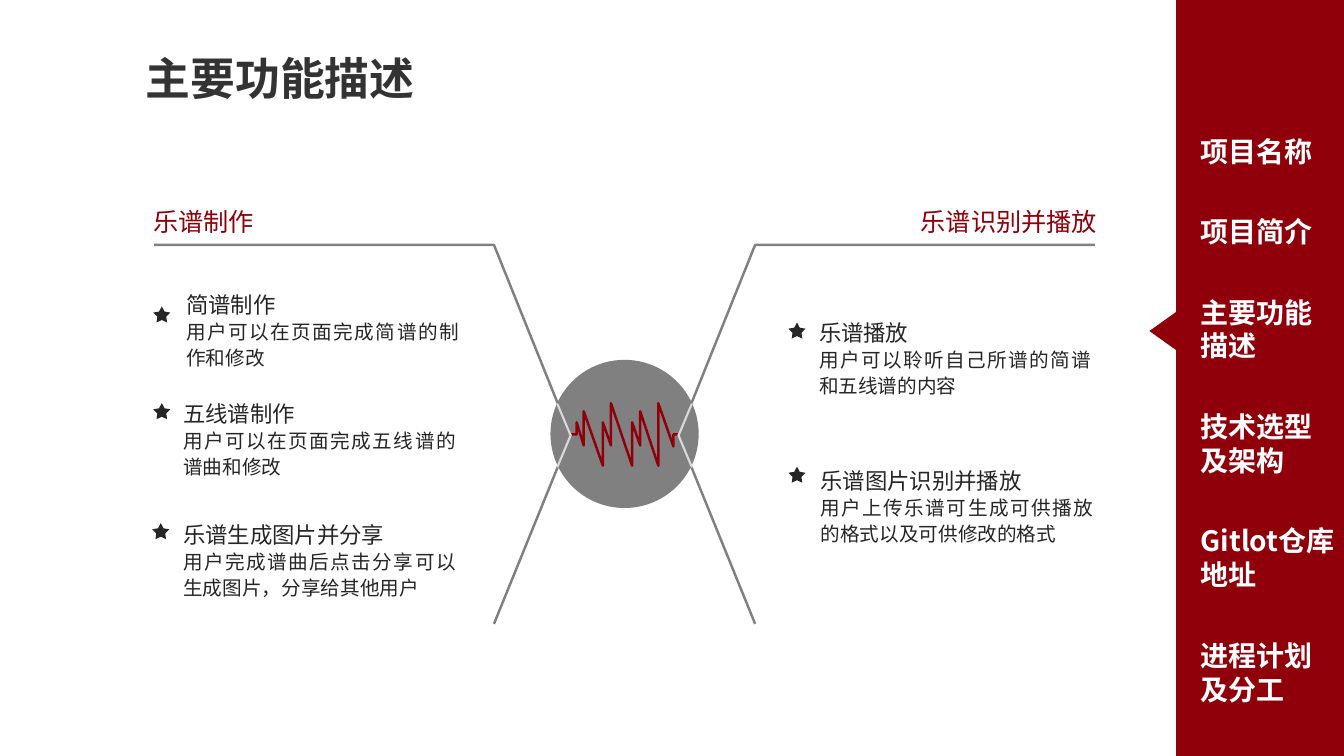
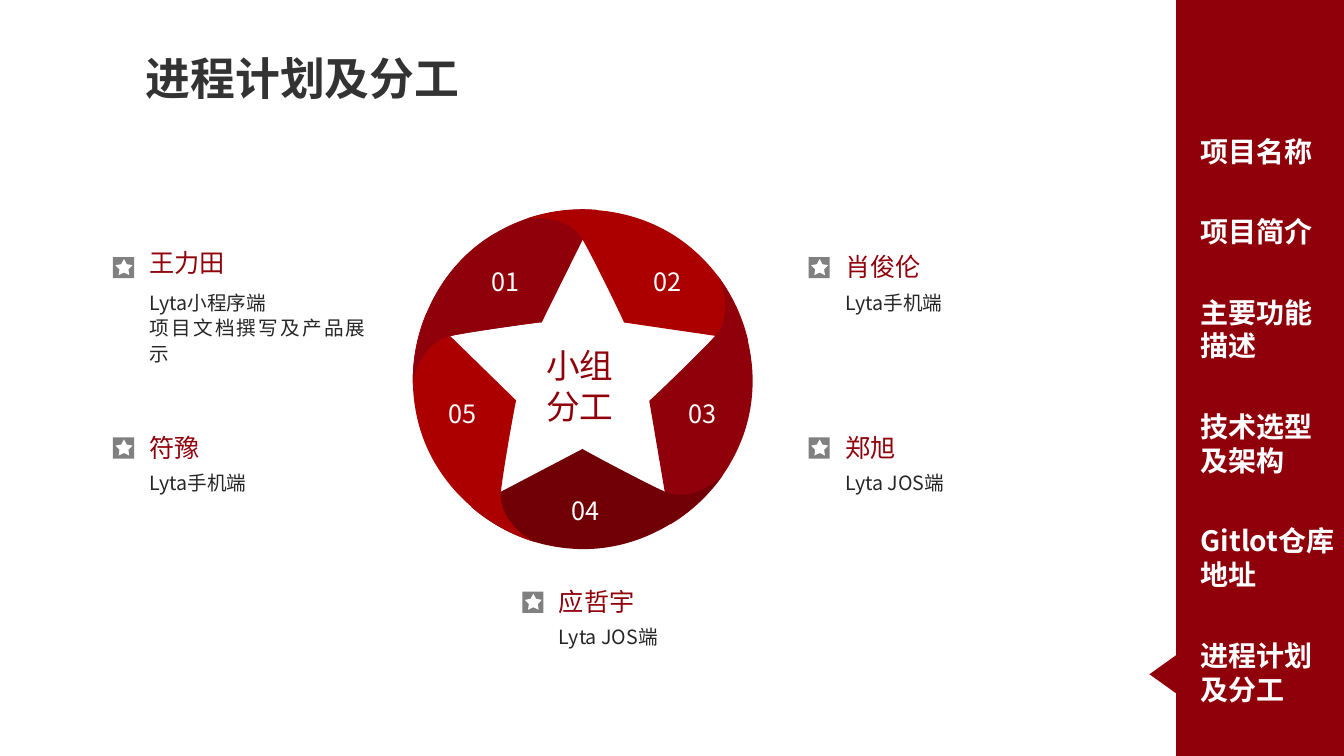
"""Build two slides with a shared title, side menu and accent colours."""
import dataclasses
import math
import typing

import lxml.etree
import pptx
import pptx.dml.color
import pptx.enum.shapes
import pptx.enum.text
import pptx.oxml.ns
import pptx.slide
import pptx.util

Point = tuple[float, float]
Curve = tuple[Point, Point, Point]
Format = dict[str, typing.Any]

SHAPE = pptx.enum.shapes.MSO_SHAPE
ALIGN = pptx.enum.text.PP_ALIGN
ANCHOR = pptx.enum.text.MSO_ANCHOR
Pt = pptx.util.Pt
qn = pptx.oxml.ns.qn

FONT = "Noto Sans CJK SC"
RED, BRIGHT, DARK = "8F000B", "AC0000", "700005"
GRAY, PALE, WHITE, INK, TITLE_INK = "808080", "D9D9D9", "FFFFFF", "262626", "333333"

WIDTH, HEIGHT = pptx.util.Inches(13.33), pptx.util.Inches(7.5)
COLS, ROWS = 133.3, 75
CELL = HEIGHT / ROWS

TITLE: Format = {"size": Pt(32), "bold": True}
MENU: Format = {"size": Pt(20), "bold": True}
CENTRE: Format = {"size": Pt(24)}
HEADING: Format = {"size": Pt(18)}
ITEM: Format = {"size": Pt(16)}
BODY: Format = {"size": Pt(14)}
JUSTIFIED: Format = {"alignment": ALIGN.JUSTIFY, "line_spacing": 1.1}
CENTRED: Format = {"alignment": ALIGN.CENTER}
RIGHT: Format = {"alignment": ALIGN.RIGHT}


@dataclasses.dataclass(frozen=True)
class Box:
    """A rectangle in grid columns and rows."""
    x: float
    y: float
    w: float
    h: float

    def emu(self) -> list[int]:
        """Return left, top, width and height in EMU."""
        return [round(v * CELL) for v in (self.x, self.y, self.w, self.h)]


@dataclasses.dataclass(frozen=True)
class Line:
    """One paragraph with its formats."""
    text: str
    font: Format
    color: str
    para: Format = dataclasses.field(default_factory=dict)


@dataclasses.dataclass(frozen=True)
class Feature:
    """A starred feature with its description."""
    x: float
    y: float
    star: Point
    name: str
    detail: str


@dataclasses.dataclass(frozen=True)
class Member:
    """A team member's card, placed by its icon."""
    x: float
    y: float
    name: str
    tasks: tuple[str, ...]
    rise: float = 1.05
    width: float = 22.2


MENU_ITEMS = {"项目名称": 1, "项目简介": 1, "主要功能描述": 2,
              "技术选型及架构": 2, "Gitlot仓库地址": 2, "进程计划及分工": 2}

FEATURES = [
    Feature(17.5, 28.1, (15.2, 30.4), "简谱制作", "用户可以在页面完成简谱的制作和修改"),
    Feature(17.2, 38.9, (15.2, 40), "五线谱制作", "用户可以在页面完成五线谱的谱曲和修改"),
    Feature(17.2, 50.95, (15.1, 51.9), "乐谱生成图片并分享",
            "用户完成谱曲后点击分享可以生成图片，分享给其他用户"),
    Feature(80.25, 30.9, (78.2, 32), "乐谱播放", "用户可以聆听自己所谱的简谱和五线谱的内容"),
    Feature(80.4, 45.55, (78.2, 46.3), "乐谱图片识别并播放",
            "用户上传乐谱可生成可供播放的格式以及可供修改的格式"),
]

MEMBERS = [
    Member(11.2, 25.5, "王力田", ("Lyta小程序端", "项目文档撰写及产品展示"), 1.5, 23.4),
    Member(11.2, 43.4, "符豫", ("Lyta手机端",)),
    Member(80.2, 25.5, "肖俊伦", ("Lyta手机端",)),
    Member(80.2, 43.4, "郑旭", ("Lyta JOS端",)),
    Member(51.8, 58.7, "应哲宇", ("Lyta JOS端",)),
]

MIRROR = 123.9
BRANCH: list[Point] = [(15.3, 24.3), (49, 24.3), (56.6, 43.2), (49, 61.9)]
WAVE: list[Point] = [
    (56.6, 43.1), (57.2, 43.1), (57.2, 41.9), (57.9, 44.2), (57.9, 40.8), (59.8, 46.2),
    (59.8, 41.9), (60.6, 44.2), (60.6, 40), (62.7, 46.2), (62.7, 41.9), (63.5, 44.2),
    (63.5, 40.8), (65.3, 46.2), (65.3, 40), (66.8, 44.3), (66.8, 43.1), (67.3, 43.1)]

HUB: Point = (57.8, 37.6)
BLADE_START: Point = (11.1, -12.7)
BLADE: list[Curve] = [
    ((8.2, -15.3), (4.3, -16.8), (0, -16.8)),
    ((-1.9, -16.8), (-3.8, -16.5), (-5.6, -15.9)),
    ((-2.7, -16.3), (-0.7, -15.1), (0, -13.8)),
    ((1.1, -11.9), (3.9, -6.1), (4.1, -5.6)),
]
BLADE_EDGE: list[Curve] = [
    ((4.1, -5.6), (16.4, -3.8), (16.4, -3.8)),
    ((15.6, -7.3), (13.7, -10.4), BLADE_START),
]
BLADE_COLORS = [RED, BRIGHT, RED, DARK, BRIGHT]
NUMBERS: list[Point] = [(46.65, 25.9), (62.7, 25.9), (66.2, 39.05), (54.6, 48.65), (42.4, 39.05)]


def rgb(value: str) -> pptx.dml.color.RGBColor:
    """Turn a hex string into a colour."""
    return pptx.dml.color.RGBColor.from_string(value)


def write(tf: typing.Any, lines: list[Line]) -> None:
    """Fill a text frame with formatted paragraphs."""
    tf.word_wrap = True
    for i, line in enumerate(lines):
        p = tf.add_paragraph() if i else tf.paragraphs[0]
        for key, value in line.para.items():
            setattr(p, key, value)
        r = p.add_run()
        r.text = line.text
        for key, value in {"name": FONT, **line.font}.items():
            setattr(r.font, key, value)
        r.font.color.rgb = rgb(line.color)
        lxml.etree.SubElement(r._r.get_or_add_rPr(), qn("a:ea"), typeface=FONT)


def add_text(s: pptx.slide.Slide, box: Box, *lines: Line) -> None:
    """Add a wrapping text box."""
    write(s.shapes.add_textbox(*box.emu()).text_frame, list(lines))


def paint(sp: typing.Any, fill: str | None, line: str | None = None, weight: float = 0) -> None:
    """Set fill and outline and drop the shadow."""
    sp.shadow.inherit = False
    if fill:
        sp.fill.solid()
        sp.fill.fore_color.rgb = rgb(fill)
    else:
        sp.fill.background()
    if line:
        sp.line.color.rgb = rgb(line)
        sp.line.width = Pt(weight)
    else:
        sp.line.fill.background()


def add_shape(s: pptx.slide.Slide, kind: typing.Any, box: Box, fill: str) -> typing.Any:
    """Add a filled preset shape."""
    sp = s.shapes.add_shape(kind, *box.emu())
    paint(sp, fill)
    return sp


def add_star(s: pptx.slide.Slide, x: float, y: float, fill: str) -> None:
    """Add a small five-pointed star."""
    sp = add_shape(s, SHAPE.STAR_5_POINT, Box(x, y, 1.7, 1.6), fill)
    sp.adjustments[0] = 0.26


def add_path(s: pptx.slide.Slide, points: list[Point], closed: bool = False) -> typing.Any:
    """Add a freeform through grid points."""
    start, *rest = [(round(x * CELL), round(y * CELL)) for x, y in points]
    fb = s.shapes.build_freeform(*start)
    fb.add_line_segments(rest, close=closed)
    return fb.convert_to_shape()


def bend(sp: typing.Any) -> None:
    """Turn each three line segments into one cubic curve."""
    segments = list(sp._element.iter(qn("a:lnTo")))
    for i in range(0, len(segments) - 2, 3):
        curve = lxml.etree.Element(qn("a:cubicBezTo"))
        segments[i].addprevious(curve)
        for segment in segments[i:i + 3]:
            curve.append(segment[0])
            segment.getparent().remove(segment)


def add_blade(s: pptx.slide.Slide, index: int, curves: list[Curve]) -> None:
    """Add one wheel blade, turned about the hub."""
    angle = math.radians(72 * (index - 1))
    c, n = math.cos(angle), math.sin(angle)
    outline = [BLADE_START, *(point for curve in curves for point in curve)]
    sp = add_path(s, [(HUB[0] + x * c - y * n, HUB[1] + x * n + y * c) for x, y in outline], True)
    bend(sp)
    paint(sp, BLADE_COLORS[index])


def add_page(prs: typing.Any, title: str) -> pptx.slide.Slide:
    """Add a slide with title, side menu and its marker."""
    s = prs.slides.add_slide(prs.slide_layouts[5])
    sp = s.shapes.title
    sp.left, sp.top, sp.width, sp.height = Box(13.45, 4.3, 57.5, 7.5).emu()
    sp.text_frame.auto_size = pptx.enum.text.MSO_AUTO_SIZE.NONE
    sp.text_frame.vertical_anchor = ANCHOR.MIDDLE
    write(sp.text_frame, [Line(title, TITLE, TITLE_INK,
                               {"alignment": ALIGN.LEFT, "line_spacing": 0.9})])
    add_shape(s, SHAPE.RECTANGLE, Box(116.65, 0, COLS - 116.65, ROWS), RED)
    y = 12.83
    for item, rows in MENU_ITEMS.items():
        h = 1.01 + 3.37 * rows
        add_text(s, Box(118.1, y, 15.3, h), Line(item, MENU, WHITE))
        if item == title:
            marker = add_shape(s, SHAPE.ISOSCELES_TRIANGLE, Box(113.4, y + 2.65, 4, 2.8), RED)
            marker.rotation = 270
        y += h + 3.6
    return s


def add_feature(s: pptx.slide.Slide, f: Feature) -> None:
    """Add a feature and its star."""
    add_text(s, Box(f.x, f.y, 29, 9), Line(f.name, ITEM, INK, JUSTIFIED),
             Line(f.detail, BODY, INK, JUSTIFIED))
    add_star(s, *f.star, INK)


def add_member(s: pptx.slide.Slide, m: Member) -> None:
    """Add a member's icon, name and tasks."""
    add_text(s, Box(m.x + 2.65, m.y - m.rise, 17.6, 4), Line(m.name, HEADING, RED))
    add_shape(s, SHAPE.RECTANGLE, Box(m.x, m.y, 2.1, 2.1), GRAY)
    add_star(s, m.x + 0.25, m.y + 0.2, WHITE)
    add_text(s, Box(m.x + 2.65, m.y + 2.6, m.width, 0.8 + 2.6 * len(m.tasks)),
             *[Line(task, BODY, INK, JUSTIFIED) for task in m.tasks])


def features_slide(prs: typing.Any) -> None:
    """Draw the main features around the sound hub."""
    s = add_page(prs, "主要功能描述")
    add_shape(s, SHAPE.OVAL, Box(54.6, 35.7, 14.7, 14.7), GRAY)
    paint(add_path(s, WAVE), None, RED, 1.75)
    for branch in (BRANCH, [(MIRROR - x, y) for x, y in BRANCH]):
        paint(add_path(s, branch), None, GRAY, 1.75)
    for x, turn in ((55.3, 0), (MIRROR - 56.6, 180)):
        sp = add_shape(s, SHAPE.CHEVRON, Box(x, 40.1, 1.3, 6.2), RED)
        sp.adjustments[0] = 1
        sp.rotation = turn
        paint(sp, RED, PALE, 1.5)
    add_text(s, Box(14.2, 20, 33.1, 4), Line("乐谱制作", HEADING, RED))
    add_text(s, Box(76.7, 20, 33.1, 4), Line("乐谱识别并播放", HEADING, RED, RIGHT))
    for f in FEATURES:
        add_feature(s, f)


def team_slide(prs: typing.Any) -> None:
    """Draw the team wheel and the member cards."""
    s = add_page(prs, "进程计划及分工")
    for i in range(len(BLADE_COLORS)):
        add_blade(s, i, BLADE + BLADE_EDGE)
    add_blade(s, 0, BLADE)
    for m in MEMBERS:
        add_member(s, m)
    add_text(s, Box(50.4, 33.75, 14.2, 9.1),
             *[Line(text, CENTRE, RED, CENTRED) for text in ("小组", "分工")])
    for i, (x, y) in enumerate(NUMBERS, 1):
        add_text(s, Box(x, y, 7, 4), Line(f"{i:02}", HEADING, WHITE, CENTRED))


def main() -> None:
    """Build and save the slides."""
    prs = pptx.Presentation()
    prs.slide_width, prs.slide_height = WIDTH, HEIGHT
    features_slide(prs)
    team_slide(prs)
    prs.save("out.pptx")


main()
